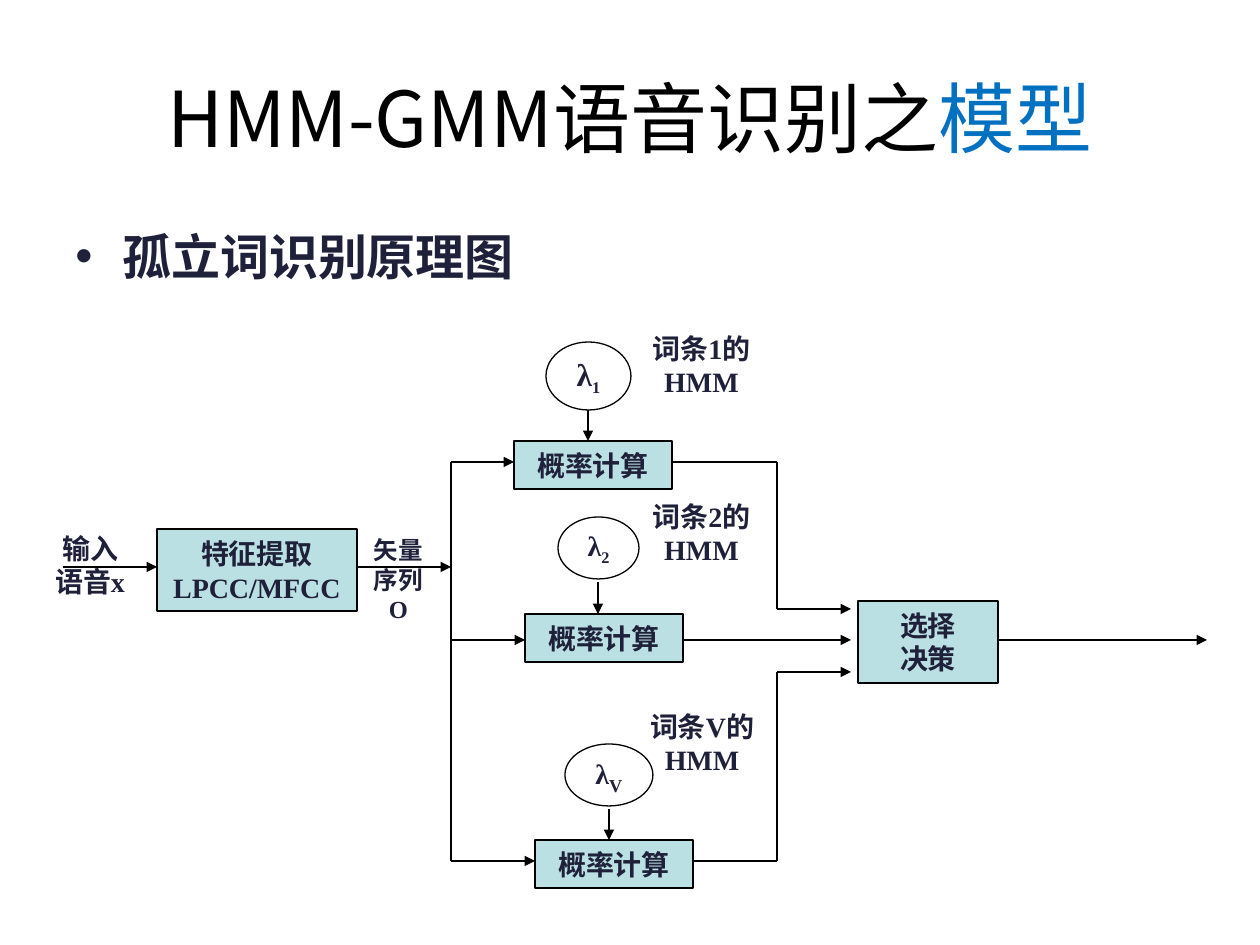
from lxml.etree import SubElement
from pptx import Presentation
from pptx.dml.color import RGBColor
from pptx.enum.shapes import MSO_CONNECTOR as LINE, MSO_SHAPE as SHAPE
from pptx.enum.text import MSO_ANCHOR as ANCHOR, PP_ALIGN as ALIGN
from pptx.oxml.ns import qn
from pptx.util import Pt

PX = 914400 // 126
COLORS = {"ink": "1F2039", "black": "000000", "blue": "0070C0", "box": "BBE0E3"}
SERIF, SANS, CJK = "Times New Roman", "Arial", "Noto Sans CJK SC"

# A run is (text, format changes); a paragraph is a list of runs.
TITLE = [[("HMM-GMM语音识别之", {}), ("模型", {"color": "blue"})]]
HEADING = [[("孤立词识别原理图", {})]]

# One branch per word model: box, ellipse, label and the line into the box
BRANCHES = [
    {"word": "1", "box": (514, 441), "oval": (546, 342, 85, 68),
     "label": (640, 325, 123, 81), "sizes": (18, 16), "y": 462, "drop": (588, 410)},
    {"word": "2", "box": (525, 614), "oval": (558, 517, 81, 62),
     "label": (640, 493, 123, 81), "sizes": (16, 16), "y": 640, "drop": (598, 582)},
    {"word": "V", "box": (535, 840), "oval": (565, 744, 88, 62),
     "label": (637, 703, 130, 81), "sizes": (16, 18), "y": 861, "drop": (609, 809)},
]
BRANCH_W, BRANCH_H = 158, 48
BOXES = [((157, 529, 200, 82), ["特征提取", "LPCC/MFCC"]),
         ((858, 601, 140, 82), ["选择", "决策"])]
SIGNALS = [((42, 525, 96, 81), [[("输入", {})], [("语音x", {})]], 16),
           ((352, 529, 93, 72),
            [[("矢量", {"font": SANS})], [("序列O", {})]], 14)]

SPLIT_X, MERGE_X, DECIDE_X = 451, 777, 851
INPUT_Y, MIDDLE_Y = 567, 640
TOP_IN_Y, BOTTOM_IN_Y = 609, 672

prs = Presentation()
prs.slide_width, prs.slide_height = 1260 * PX, 945 * PX
slide = prs.slides.add_slide(prs.slide_layouts[6])


def emu(values):
    return [v * PX for v in values]


def rgb(name):
    return RGBColor.from_string(COLORS[name])


def write(sp, paragraphs, size=16, font=SERIF, color="ink", bold=True,
          align=ALIGN.CENTER, anchor=ANCHOR.MIDDLE, wrap=True, bullet=None):
    tf = sp.text_frame
    tf.word_wrap, tf.vertical_anchor = wrap, anchor
    for i, runs in enumerate(paragraphs):
        p = tf.paragraphs[0] if i == 0 else tf.add_paragraph()
        p.alignment = align
        if bullet:
            pPr = p._p.get_or_add_pPr()
            pPr.set("marL", str(47 * PX))
            pPr.set("indent", str(-47 * PX))
            SubElement(pPr, qn("a:buFont"), typeface=SANS)
            SubElement(pPr, qn("a:buChar"), char=bullet)
        for text, changes in runs:
            r = p.add_run()
            r.text = text
            r.font.size = Pt(changes.get("size", size))
            r.font.bold = bold
            r.font.name = changes.get("font", font)
            r.font.color.rgb = rgb(changes.get("color", color))
            rPr = r._r.get_or_add_rPr()
            SubElement(rPr, qn("a:ea"), typeface=CJK)
            if changes.get("sub"):
                rPr.set("baseline", "-25000")


def text_box(at, paragraphs, **fmt):
    write(slide.shapes.add_textbox(*emu(at)), paragraphs, **fmt)


def shape(kind, at, paragraphs, fill=None, **fmt):
    sp = slide.shapes.add_shape(kind, *emu(at))
    sp.shadow.inherit = False
    if fill:
        sp.fill.solid()
        sp.fill.fore_color.rgb = rgb(fill)
    else:
        sp.fill.background()
    sp.line.color.rgb = rgb("black")
    sp.line.width = Pt(0.75)
    write(sp, paragraphs, **fmt)


def line(*ends, arrow=True):
    c = slide.shapes.add_connector(LINE.STRAIGHT, *emu(ends))
    c.line.color.rgb = rgb("black")
    c.line.width = Pt(0.75)
    if arrow:
        SubElement(c.line._get_or_add_ln(), qn("a:tailEnd"), type="triangle")
    SubElement(c._element.spPr, qn("a:effectLst"))


text_box((63, 38, 1134, 157), TITLE, size=44, font=CJK, color="black", bold=False)
text_box((63, 220, 1134, 624), HEADING, size=28, font=SANS, align=ALIGN.LEFT,
         anchor=ANCHOR.TOP, bullet="•")

for at, lines in BOXES:
    shape(SHAPE.RECTANGLE, at, [[(t, {})] for t in lines], fill="box")

line(63, INPUT_Y, 157, INPUT_Y)
line(357, INPUT_Y, SPLIT_X, INPUT_Y)
line(SPLIT_X, BRANCHES[0]["y"], SPLIT_X, BRANCHES[-1]["y"], arrow=False)
line(998, MIDDLE_Y, 1207, MIDDLE_Y)

for b, in_y in zip(BRANCHES, (TOP_IN_Y, MIDDLE_Y, BOTTOM_IN_Y)):
    x, top = b["box"]
    y, right = b["y"], x + BRANCH_W
    drop_x, drop_y = b["drop"]
    big, small = b["sizes"]
    shape(SHAPE.OVAL, b["oval"],
          [[("λ", {"size": big}), (b["word"], {"size": small, "sub": True})]],
          wrap=False)
    shape(SHAPE.RECTANGLE, (x, top, BRANCH_W, BRANCH_H), [[("概率计算", {})]],
          fill="box")
    line(drop_x, drop_y, drop_x, top)
    line(SPLIT_X, y, x, y)
    if y == in_y:
        line(right, y, DECIDE_X, y)
    else:
        line(right, y, MERGE_X, y, arrow=False)
        line(MERGE_X, y, MERGE_X, in_y, arrow=False)
        line(MERGE_X, in_y, DECIDE_X, in_y)
    text_box(b["label"], [[(f"词条{b['word']}的", {})], [("HMM", {})]],
             anchor=ANCHOR.TOP)

for at, paragraphs, size in SIGNALS:
    text_box(at, paragraphs, size=size, anchor=ANCHOR.TOP)

prs.save("out.pptx")
